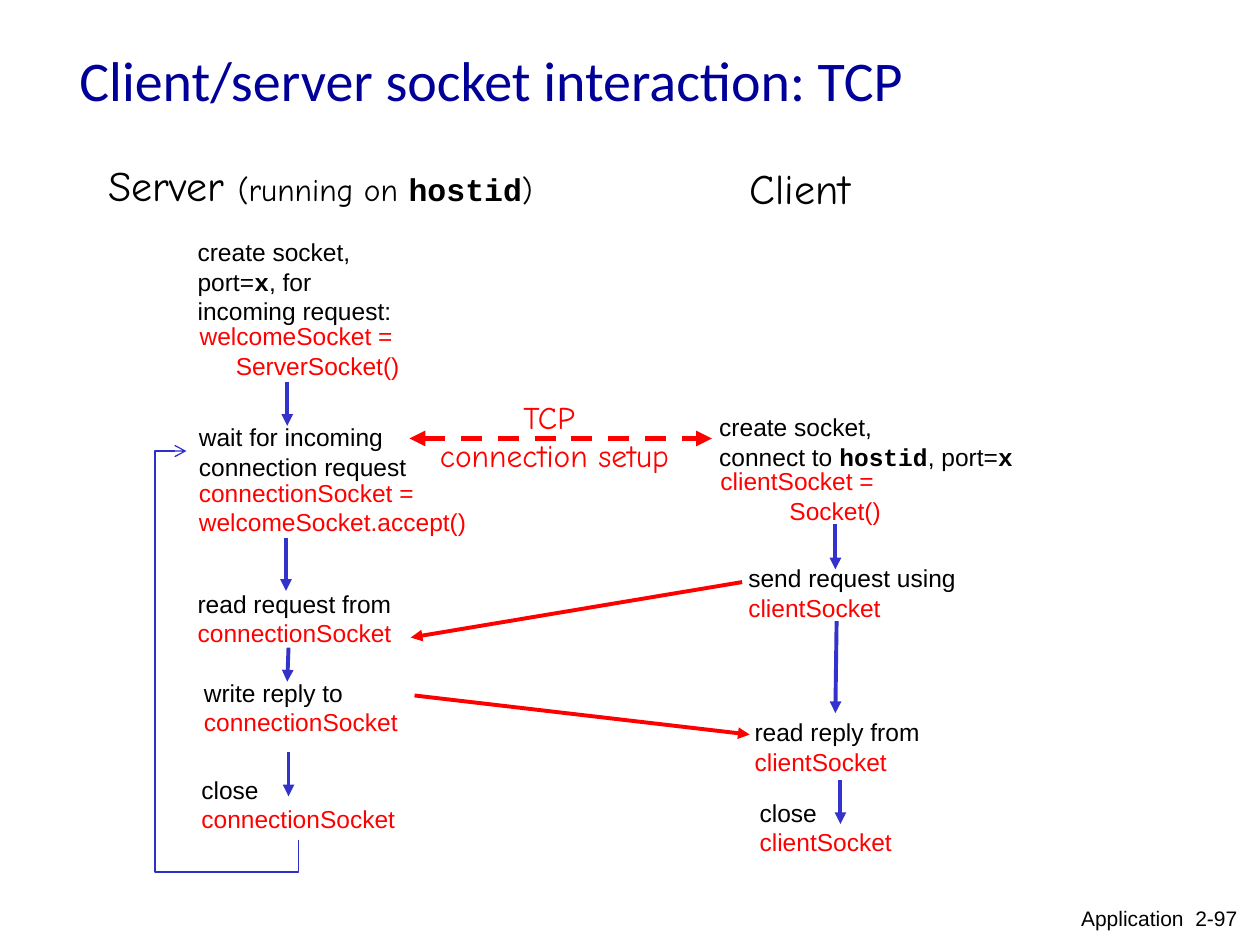
from lxml.etree import SubElement
from pptx import Presentation
from pptx.dml.color import RGBColor
from pptx.enum.dml import MSO_LINE
from pptx.enum.shapes import MSO_CONNECTOR
from pptx.enum.text import MSO_ANCHOR, MSO_AUTO_SIZE, PP_ALIGN
from pptx.oxml.ns import qn
from pptx.util import Inches, Pt

THEME = {
    "colors": {"title": "000099", "black": "000000", "red": "FF0000",
               "blue": "3333CC", "loop": "2E2ECB"},
    # name: (font, size, bold, colour)
    "styles": {
        "title": ("Calibri", 32, False, "title"),
        "head": ("Comic Neue", 24, False, "black"),
        "sub": ("Comic Neue", 18, False, "black"),
        "host": ("Courier New", 18, True, "black"),
        "setup": ("Comic Neue", 18, False, "red"),
        "step": ("Arial", 14, False, "black"),
        "call": ("Arial", 14, False, "red"),
        "code": ("Courier New", 14, True, "black"),
        "footer": ("Arial", 12, False, "black"),
    },
}
L, C, R = PP_ALIGN.LEFT, PP_ALIGN.CENTER, PP_ALIGN.RIGHT

TITLE = [[("Client/server socket interaction: TCP", "title")]]
FOOTER = [[("Application  2-97", "footer")]]


def action(step, socket):
    return [[(step, "step")], [(socket, "call")]]


# left, top, width, alignment, lines of (text, style)
STEPS = [
    # server
    (1.47, 1.83, 1.74, L, [[("create socket,", "step")],
                           [("port=", "step"), ("x", "code"), (", for", "step")],
                           [("incoming request:", "step")]]),
    (1.48, 2.5, 1.79, R, [[("welcomeSocket = ", "call")],
                          [("ServerSocket()", "call")]]),
    (1.48, 3.3, 1.85, L, [[("wait for incoming", "step")],
                          [("connection request", "step")]]),
    (1.48, 3.74, 2.34, L, [[("connectionSocket =", "call")],
                           [("welcomeSocket.accept()", "call")]]),
    (1.47, 4.62, 1.74, L, action("read request from", "connectionSocket")),
    (1.52, 5.33, 1.74, L, action("write reply to", "connectionSocket")),
    (1.5, 6.1, 1.74, L, action("close", "connectionSocket")),
    # client
    (5.61, 3.22, 2.53, L, [[("create socket,", "step")],
                           [("connect to ", "step"), ("hostid", "code"),
                            (", port=", "step"), ("x", "code")]]),
    (5.61, 3.65, 1.48, R, [[("clientSocket = ", "call")],
                           [("Socket()", "call")]]),
    (5.84, 4.42, 1.85, L, action("send request using", "clientSocket")),
    (5.89, 5.64, 1.51, L, action("read reply from", "clientSocket")),
    (5.93, 6.28, 1.25, L, action("close", "clientSocket")),
]

# left, top, width, height, lines
LABELS = [
    (0.76, 1.22, 3.57, 0.5, [[("Server ", "head"), ("(running on ", "sub"),
                              ("hostid", "host"), (")", "sub")]]),
    (5.85, 1.24, 1, 0.5, [[("Client", "head")]]),
    (3.39, 3.11, 2.02, 0.7, [[("TCP ", "setup")],
                             [("connection setup", "setup")]]),
]

FLOW = [  # order of steps on each side
    ((2.28, 3.03), (2.28, 3.38)),
    ((2.27, 4.27), (2.27, 4.69)),
    ((2.29, 5.14), (2.28, 5.41)),
    ((2.29, 5.97), (2.29, 6.32)),
    ((6.63, 4.16), (6.63, 4.52)),
    ((6.64, 4.93), (6.63, 5.66)),
    ((6.67, 6.19), (6.67, 6.54)),
]
MESSAGES = [  # request, reply
    ((5.89, 4.62), (3.26, 5.06)),
    ((3.29, 5.52), (5.95, 5.83)),
]
SETUP = ((3.25, 3.48), (5.65, 3.48))
LOOP = [(2.37, 6.67), (2.37, 6.92), (1.23, 6.92), (1.23, 3.58), (1.48, 3.58)]


def color(name):
    return RGBColor.from_string(THEME["colors"][name])


def write(shape, lines, align=L, anchor=MSO_ANCHOR.MIDDLE, wrap=False):
    """Unwrapped text sizes its box, so that no line can break."""
    tf = shape.text_frame
    tf.word_wrap = wrap
    tf.auto_size = (MSO_AUTO_SIZE.NONE if wrap
                    else MSO_AUTO_SIZE.SHAPE_TO_FIT_TEXT)
    tf.vertical_anchor = anchor
    for i, line in enumerate(lines):
        p = tf.paragraphs[0] if i == 0 else tf.add_paragraph()
        p.alignment = align
        for text, style in line:
            r = p.add_run()
            r.text = text
            r.font.name, size, r.font.bold, tone = THEME["styles"][style]
            r.font.size = Pt(size)
            r.font.color.rgb = color(tone)


def add_text(s, left, top, width, height, lines, **fmt):
    box = s.shapes.add_textbox(*map(Inches, (left, top, width, height)))
    write(box, lines, **fmt)


def style_line(shape, tone, width, ends, dash=None):
    """Ends maps headEnd / tailEnd to an arrowhead type."""
    shape.line.color.rgb = color(tone)
    shape.line.width = Pt(width)
    if dash:
        shape.line.dash_style = dash
    ln = shape.line._get_or_add_ln()
    for tag, kind in ends.items():
        SubElement(ln, qn("a:" + tag), type=kind)


def add_arrow(s, start, end, tone, width=2.25, both=False, dash=None):
    c = s.shapes.add_connector(MSO_CONNECTOR.STRAIGHT,
                               *map(Inches, start + end))
    ends = {"headEnd": "triangle"} if both else {}
    style_line(c, tone, width, ends | {"tailEnd": "triangle"}, dash)
    SubElement(c._element.spPr, qn("a:effectLst"))


def add_loop(s, points):
    """Open path that leads from the last server step back to waiting."""
    start, *rest = [(Inches(x), Inches(y)) for x, y in points]
    fb = s.shapes.build_freeform(*start)
    fb.add_line_segments(rest, close=False)
    sp = fb.convert_to_shape()
    sp.fill.background()
    style_line(sp, "loop", 0.75, {"tailEnd": "arrow"})
    sp.shadow.inherit = False


def main():
    prs = Presentation()
    prs.slide_width, prs.slide_height = Inches(10), Inches(7.5)
    s = prs.slides.add_slide(prs.slide_layouts[5])

    title = s.shapes.title
    title.left, title.top, title.width, title.height = map(
        Inches, (0.53, 0, 8.5, 1.25))
    write(title, TITLE, wrap=True)

    for left, top, width, align, lines in STEPS:
        height = 0.1 + 0.235 * len(lines)
        add_text(s, left, top, width, height, lines, align=align)
    for label in LABELS:
        add_text(s, *label, align=C)
    add_text(s, 8.33, 7.14, 1.59, 0.31, FOOTER,
             align=R, anchor=MSO_ANCHOR.TOP, wrap=True)

    for start, end in FLOW:
        add_arrow(s, start, end, "blue")
    for start, end in MESSAGES:
        add_arrow(s, start, end, "red")
    add_arrow(s, *SETUP, "red", width=3, both=True, dash=MSO_LINE.DASH)
    add_loop(s, LOOP)

    prs.save("out.pptx")


if __name__ == "__main__":
    main()
